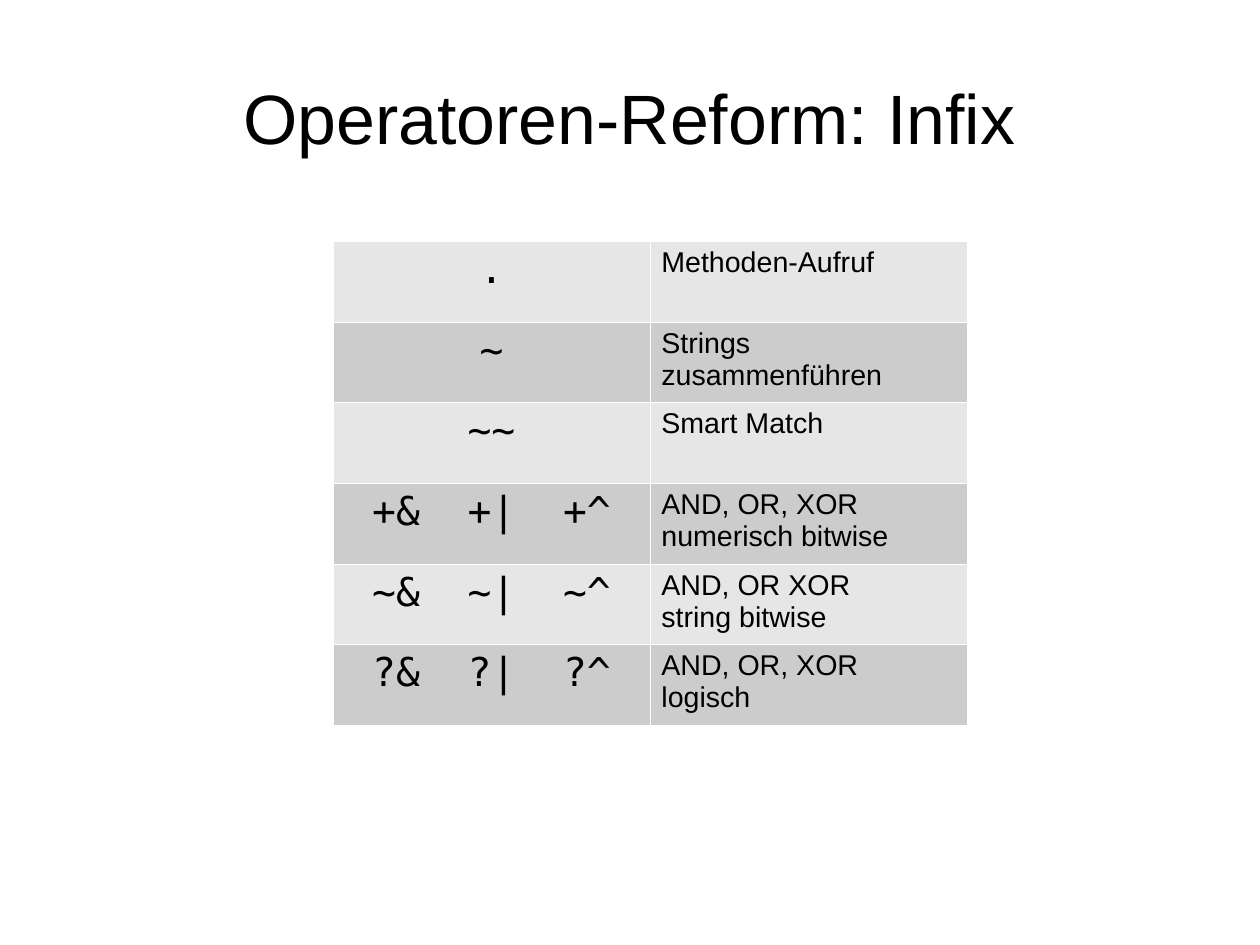
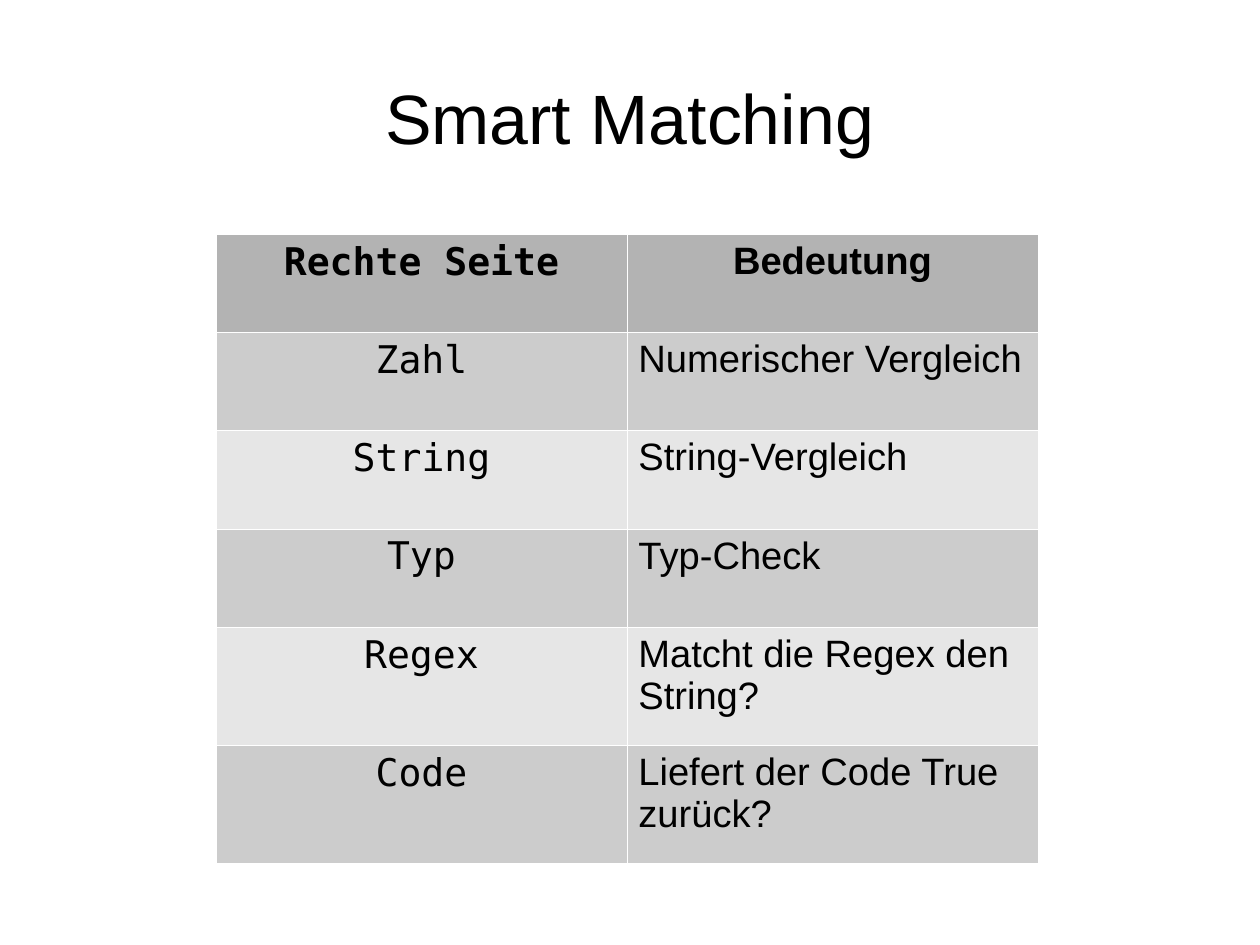
from lxml.etree import SubElement
from pptx import Presentation
from pptx.dml.color import RGBColor
from pptx.enum.text import MSO_ANCHOR, MSO_AUTO_SIZE, PP_ALIGN
from pptx.oxml.ns import qn
from pptx.util import Pt

PIXEL = 8000  # EMU per pixel
COLORS = {"text": "000000", "border": "FFFFFF", "header": "B3B3B3",
          "dark": "CCCCCC", "light": "E6E6E6"}
TEXT_FONT, CODE_FONT = "Arial", "DejaVu Sans Mono"
PAGE_SIZE = (1260, 945)
TITLE_BOX = (63, 38, 1134, 158)
BORDER_WIDTH = Pt(0.06)

# box is left, top, width, height; sizes are code column, text column;
# weights share the table height among the rows.
PAGES = [
    {
        "title": "Operatoren-Reform: Infix",
        "box": (333, 241, 634, 484),
        "sizes": (25, 18),
        "weights": [1] * 6,
        "header": None,
        "bands": ("light", "dark"),
        "rows": [
            (".", "Methoden-Aufruf"),
            ("~", "Strings zusammenführen"),
            ("~~", "Smart Match"),
            ("+&  +|  +^", "AND, OR, XOR\nnumerisch bitwise"),
            ("~&  ~|  ~^", "AND, OR XOR\nstring bitwise"),
            ("?&  ?|  ?^", "AND, OR, XOR\nlogisch"),
        ],
    },
    {
        "title": "Smart Matching",
        "box": (216, 234, 822, 629),
        "sizes": (24, 24),
        "weights": [5] * 4 + [6] * 2,
        "header": ("Rechte Seite", "Bedeutung"),
        "bands": ("dark", "light"),
        "rows": [
            ("Zahl", "Numerischer Vergleich"),
            ("String", "String-Vergleich"),
            ("Typ", "Typ-Check"),
            ("Regex", "Matcht die Regex den String?"),
            ("Code", "Liefert der Code True zurück?"),
        ],
    },
]


def scaled(lengths):
    """Turn pixel lengths into EMU."""
    return [length * PIXEL for length in lengths]


def color(name):
    """Look up a named colour."""
    return RGBColor.from_string(COLORS[name])


def write(frame, text, font, size, align, bold=False):
    """Fill a text frame with evenly formatted paragraphs."""
    frame.text = text
    for para in frame.paragraphs:
        para.alignment = align
        para.font.name = font
        para.font.size = Pt(size)
        para.font.bold = bold
        para.font.color.rgb = color("text")


def add_title(page, text):
    """Place and format the title placeholder."""
    title = page.shapes.title
    title.left, title.top, title.width, title.height = scaled(TITLE_BOX)
    frame = title.text_frame
    frame.margin_left = frame.margin_right = 0
    frame.margin_top = frame.margin_bottom = 0
    frame.vertical_anchor = MSO_ANCHOR.MIDDLE
    frame.auto_size = MSO_AUTO_SIZE.NONE
    write(frame, text, TEXT_FONT, 44, PP_ALIGN.CENTER)


def add_borders(cell):
    """Draw a thin line on all four sides of a cell."""
    properties = cell._tc.get_or_add_tcPr()
    for side in ("a:lnL", "a:lnR", "a:lnT", "a:lnB"):
        line = SubElement(properties, qn(side), w=str(int(BORDER_WIDTH)))
        fill = SubElement(line, qn("a:solidFill"))
        SubElement(fill, qn("a:srgbClr"), val=COLORS["border"])


def add_grid(page, content):
    """Add the two-column table with banded rows."""
    header, bands = content["header"], content["bands"]
    rows = [(bands[i % 2], row) for i, row in enumerate(content["rows"])]
    if header:
        rows.insert(0, ("header", header))
    box = scaled(content["box"])
    table = page.shapes.add_table(len(rows), 2, *box).table
    table.first_row = table.horz_banding = False
    weights = content["weights"]
    for row, weight in zip(table.rows, weights):
        row.height = box[3] * weight // sum(weights)
    for r, (band, texts) in enumerate(rows):
        is_header = band == "header"
        for c, text in enumerate(texts):
            cell = table.cell(r, c)
            add_borders(cell)
            cell.fill.solid()
            cell.fill.fore_color.rgb = color(band)
            centred = is_header or c == 0
            write(cell.text_frame, text, (CODE_FONT, TEXT_FONT)[c],
                  content["sizes"][c],
                  PP_ALIGN.CENTER if centred else PP_ALIGN.LEFT, is_header)


def main():
    """Build and save the deck."""
    deck = Presentation()
    deck.slide_width, deck.slide_height = scaled(PAGE_SIZE)
    for content in PAGES:
        page = deck.slides.add_slide(deck.slide_layouts[5])
        add_title(page, content["title"])
        add_grid(page, content)
    deck.save("out.pptx")


main()
